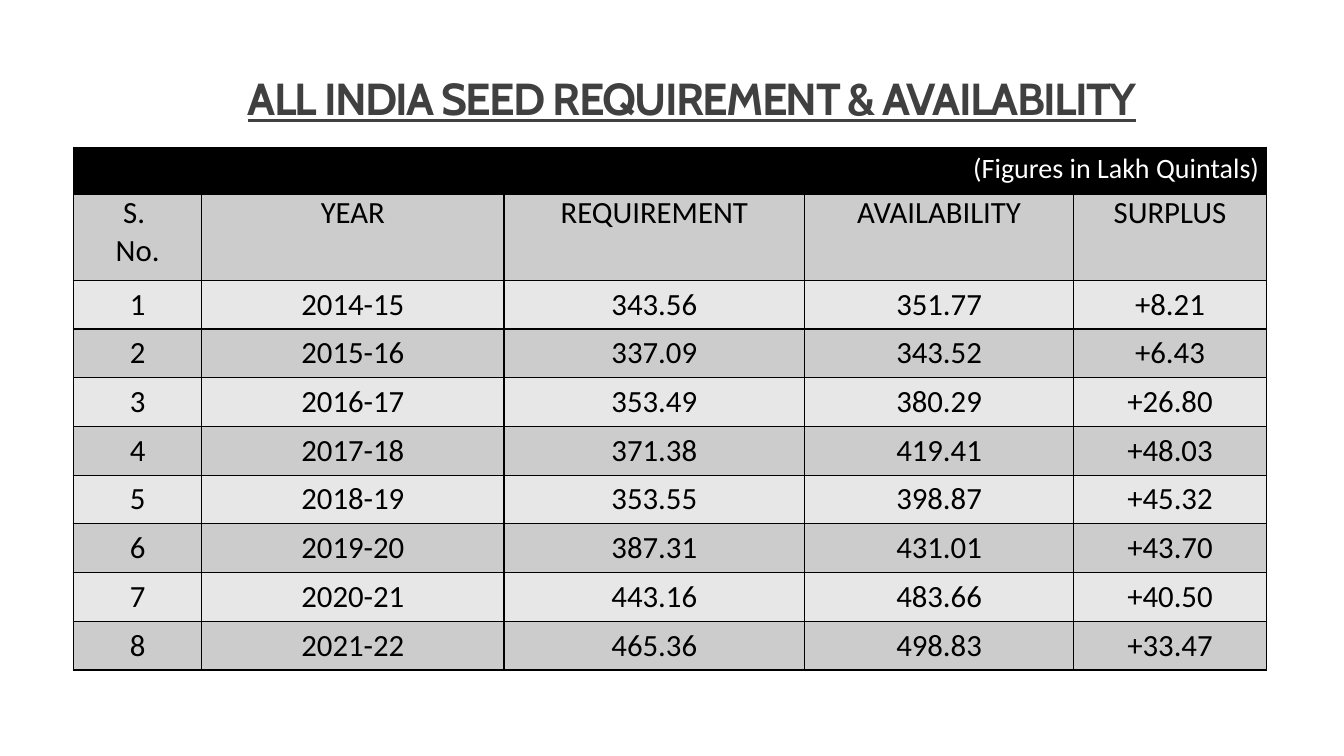
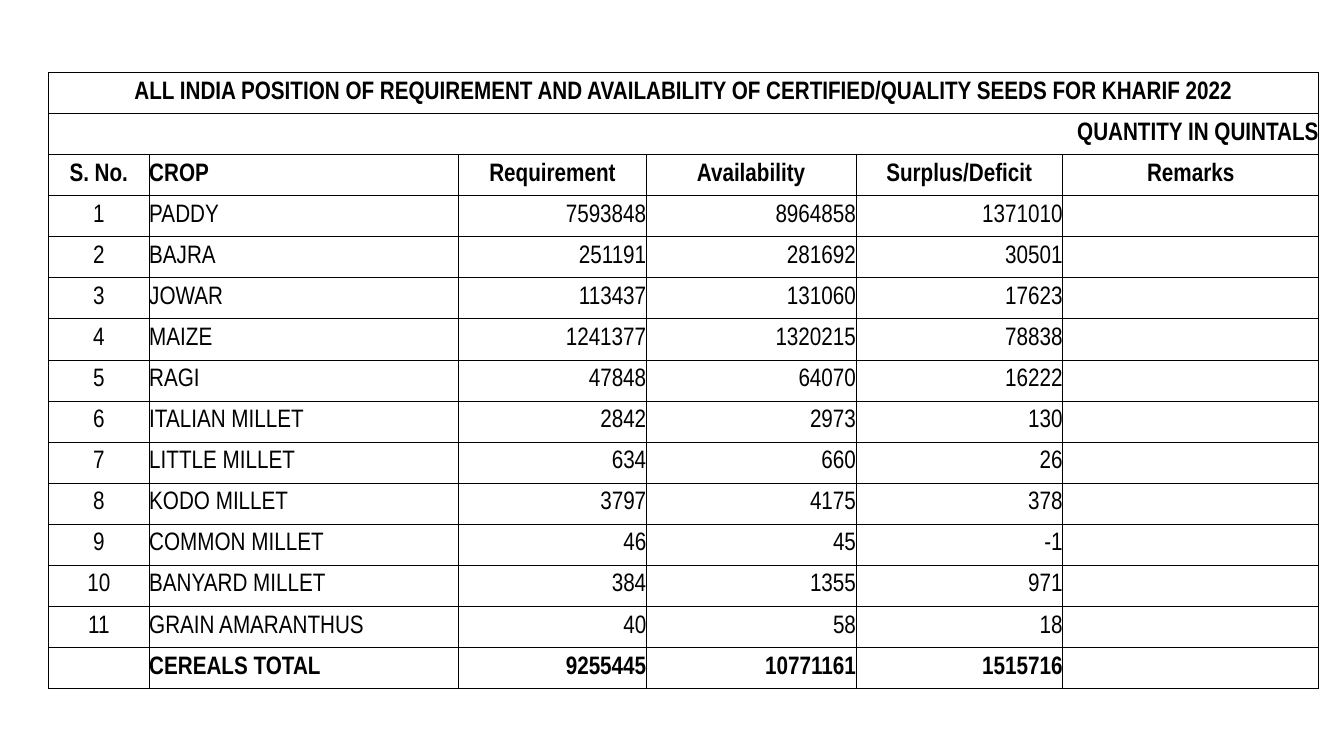
from dataclasses import dataclass

from lxml.etree import SubElement
from pptx import Presentation
from pptx.dml.color import RGBColor
from pptx.enum.text import MSO_ANCHOR, PP_ALIGN
from pptx.oxml.ns import qn
from pptx.util import Emu, Pt

EMU_PER_PX = 9144  # 100 px to the inch

BLACK = RGBColor(0x00, 0x00, 0x00)
WHITE = RGBColor(0xFF, 0xFF, 0xFF)
TITLE_GREY = RGBColor(0x40, 0x40, 0x40)
BAND_DARK = RGBColor(0xCC, 0xCC, 0xCC)
BAND_LIGHT = RGBColor(0xE7, 0xE7, 0xE7)

LEFT, CENTER, RIGHT = PP_ALIGN.LEFT, PP_ALIGN.CENTER, PP_ALIGN.RIGHT
TITLE_ONLY, BLANK = 5, 6

SEED_TITLE = "ALL INDIA SEED REQUIREMENT & AVAILABILITY"
SEED_UNIT = "(Figures in Lakh Quintals)"
SEED_COLUMNS = ("S. \nNo.", "YEAR", "REQUIREMENT", "AVAILABILITY", "SURPLUS")
SEED_YEARS = [
    ("2014-15", "343.56", "351.77", "+8.21"),
    ("2015-16", "337.09", "343.52", "+6.43"),
    ("2016-17", "353.49", "380.29", "+26.80"),
    ("2017-18", "371.38", "419.41", "+48.03"),
    ("2018-19", "353.55", "398.87", "+45.32"),
    ("2019-20", "387.31", "431.01", "+43.70"),
    ("2020-21", "443.16", "483.66", "+40.50"),
    ("2021-22", "465.36", "498.83", "+33.47"),
]

KHARIF_TITLE = ("ALL INDIA POSITION OF REQUIREMENT AND AVAILABILITY "
                "OF CERTIFIED/QUALITY SEEDS FOR KHARIF 2022")
KHARIF_UNIT = "QUANTITY IN QUINTALS"
KHARIF_COLUMNS = ("S. No.", "CROP", "Requirement", "Availability",
                  "Surplus/Deficit", "Remarks")
KHARIF_CROPS = [
    ("PADDY", 7593848, 8964858, 1371010),
    ("BAJRA", 251191, 281692, 30501),
    ("JOWAR", 113437, 131060, 17623),
    ("MAIZE", 1241377, 1320215, 78838),
    ("RAGI", 47848, 64070, 16222),
    ("ITALIAN MILLET", 2842, 2973, 130),
    ("LITTLE MILLET", 634, 660, 26),
    ("KODO MILLET", 3797, 4175, 378),
    ("COMMON MILLET", 46, 45, -1),
    ("BANYARD MILLET", 384, 1355, 971),
    ("GRAIN AMARANTHUS", 40, 58, 18),
]
KHARIF_TOTAL = ("", "CEREALS TOTAL", 9255445, 10771161, 1515716, "")


@dataclass
class CellStyle:
    font: str
    size: int
    color: RGBColor = BLACK
    bold: bool = False
    fill: RGBColor = WHITE
    line_spacing: float = 1.0
    side_margin: int = 0
    anchor: MSO_ANCHOR = MSO_ANCHOR.TOP


def px(length):
    return Emu(length * EMU_PER_PX)


def numbered(records):
    return [(number, *record) for number, record in enumerate(records, 1)]


def add_title(slide, text, left, top, width, height):
    title = slide.shapes.title
    title.left, title.top = px(left), px(top)
    title.width, title.height = px(width), px(height)
    frame = title.text_frame
    frame.text = text
    frame.vertical_anchor = MSO_ANCHOR.MIDDLE
    paragraph = frame.paragraphs[0]
    paragraph.alignment = CENTER
    paragraph.line_spacing = 0.85
    run = paragraph.runs[0]
    run.font.name, run.font.size = "Cabin", Pt(32)
    run.font.bold = run.font.underline = True
    run.font.color.rgb = TITLE_GREY
    run.font._element.set("spc", "-120")


def add_grid(slide, left, top, height, columns, row_count, lead_heights=()):
    """Add a plain table; rows after the lead ones share the height left."""
    table = slide.shapes.add_table(row_count, len(columns), px(left), px(top),
                                   px(sum(columns)), px(height)).table
    table.first_row = table.horz_banding = False
    for column, width in zip(table.columns, columns):
        column.width = px(width)
    equal_height = px(height - sum(lead_heights)) // (row_count - len(lead_heights))
    for index, row in enumerate(table.rows):
        row.height = (px(lead_heights[index]) if index < len(lead_heights)
                      else Emu(equal_height))
    return table


def set_borders(cell, widths):
    properties = cell._tc.get_or_add_tcPr()
    for side, width in zip("LRTB", widths):
        line = SubElement(properties, qn(f"a:ln{side}"), w=str(Pt(width)))
        color = SubElement(SubElement(line, qn("a:solidFill")), qn("a:srgbClr"))
        color.set("val", str(BLACK))


def rule_table(table, inner, outer):
    """Rule the table, with the outer width on its left, right and top."""
    last_column = len(table.columns) - 1
    for row_index, row in enumerate(table.rows):
        for column_index, cell in enumerate(row.cells):
            at_right = column_index == last_column or cell.is_merge_origin
            set_borders(cell, (outer if column_index == 0 else inner,
                               outer if at_right else inner,
                               outer if row_index == 0 else inner,
                               inner))


def fill_cell(cell, value, alignment, style):
    cell.margin_left = cell.margin_right = px(style.side_margin)
    cell.margin_top = cell.margin_bottom = 0
    cell.vertical_anchor = style.anchor
    cell.fill.solid()
    cell.fill.fore_color.rgb = style.fill
    cell.text_frame.text = str(value)
    for paragraph in cell.text_frame.paragraphs:
        paragraph.alignment = alignment
        paragraph.line_spacing = style.line_spacing
        for run in paragraph.runs:
            run.font.name, run.font.size = style.font, Pt(style.size)
            run.font.bold = style.bold
            run.font.color.rgb = style.color


def fill_row(table, row_index, values, alignments, style):
    for cell, value, alignment in zip(table.rows[row_index].cells, values, alignments):
        fill_cell(cell, value, alignment, style)


def fill_spanning_row(table, row_index, text, alignment, style):
    cells = list(table.rows[row_index].cells)
    cells[0].merge(cells[-1])
    fill_cell(cells[0], text, alignment, style)


def build_seed_slide(deck):
    slide = deck.slides.add_slide(deck.slide_layouts[TITLE_ONLY])
    add_title(slide, SEED_TITLE, 118, 58, 1137, 87)
    table = add_grid(slide, 73, 146, 519, (127, 300, 298, 267, 191),
                     len(SEED_YEARS) + 2, lead_heights=(47, 85))
    unit = CellStyle("Calibri", 20, WHITE, fill=BLACK, line_spacing=1.15, side_margin=7)
    heading = CellStyle("Calibri", 22, fill=BAND_DARK, side_margin=7)
    bands = [CellStyle("Calibri", 22, fill=band, line_spacing=1.15, side_margin=7)
             for band in (BAND_LIGHT, BAND_DARK)]
    centred = [CENTER] * len(SEED_COLUMNS)

    fill_spanning_row(table, 0, SEED_UNIT, RIGHT, unit)
    fill_row(table, 1, SEED_COLUMNS, centred, heading)
    for index, year in enumerate(numbered(SEED_YEARS)):
        fill_row(table, index + 2, year, centred, bands[index % 2])
    rule_table(table, inner=1, outer=1)


def build_kharif_slide(deck):
    slide = deck.slides.add_slide(deck.slide_layouts[BLANK])
    table = add_grid(slide, 48, 72, 611, (100, 307, 186, 208, 205, 254),
                     len(KHARIF_CROPS) + 4)
    regular = CellStyle("Arial Narrow", 18, anchor=MSO_ANCHOR.MIDDLE)
    bold = CellStyle("Arial Narrow", 18, bold=True, anchor=MSO_ANCHOR.MIDDLE)
    heading_alignments = (CENTER, LEFT, CENTER, CENTER, CENTER, CENTER)
    value_alignments = (CENTER, LEFT, RIGHT, RIGHT, RIGHT, LEFT)

    fill_spanning_row(table, 0, KHARIF_TITLE, CENTER, bold)
    fill_spanning_row(table, 1, KHARIF_UNIT, RIGHT, bold)
    fill_row(table, 2, KHARIF_COLUMNS, heading_alignments, bold)
    for row_index, crop in enumerate(numbered(KHARIF_CROPS), 3):
        fill_row(table, row_index, (*crop, ""), value_alignments, regular)
    fill_row(table, len(KHARIF_CROPS) + 3, KHARIF_TOTAL, value_alignments, bold)
    rule_table(table, inner=0.5, outer=1)


def main():
    deck = Presentation()
    deck.slide_width, deck.slide_height = px(1333), px(750)
    build_seed_slide(deck)
    build_kharif_slide(deck)
    deck.save("out.pptx")


if __name__ == "__main__":
    main()
